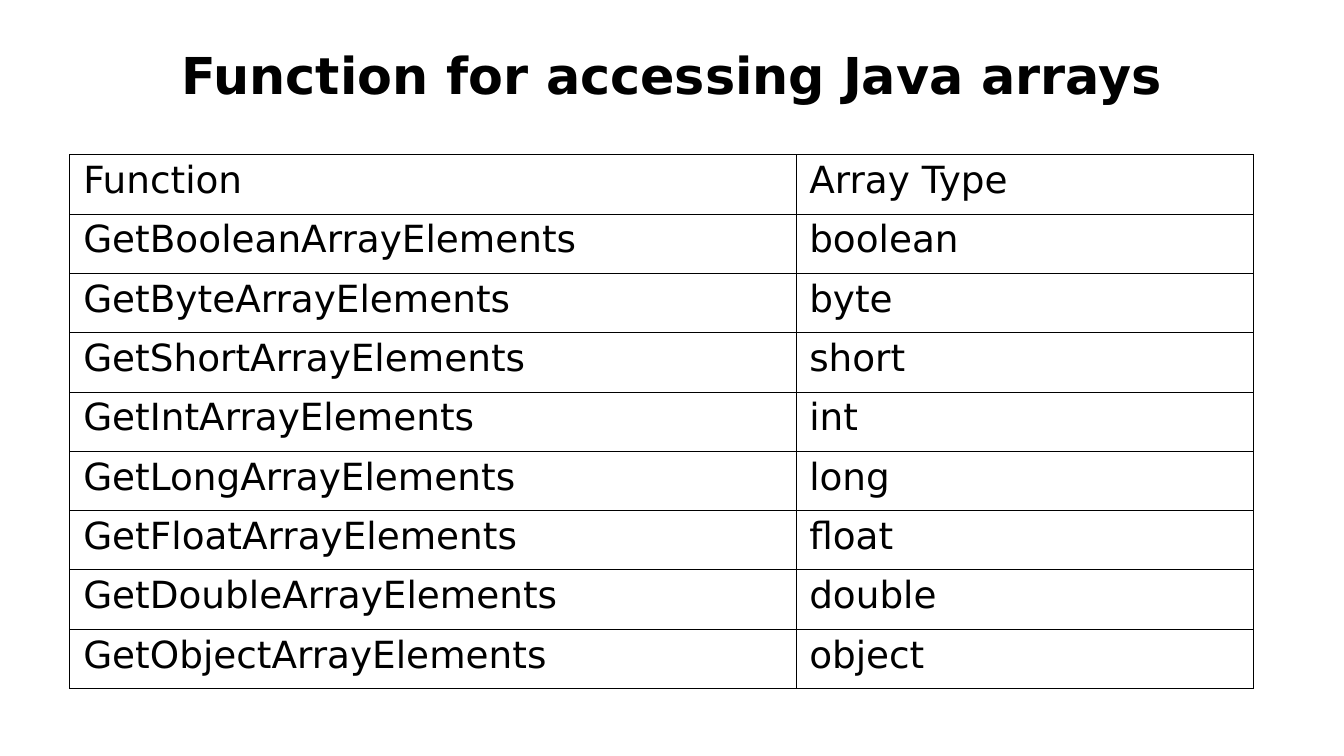
from typing import NamedTuple

from lxml import etree
from pptx import Presentation
from pptx.dml.color import RGBColor
from pptx.enum.text import MSO_ANCHOR, MSO_AUTO_SIZE, PP_ALIGN
from pptx.oxml.ns import qn
from pptx.util import Cm, Pt

CENTER = PP_ALIGN.CENTER
MIDDLE = MSO_ANCHOR.MIDDLE
NO_AUTOFIT = MSO_AUTO_SIZE.NONE
TITLE_ONLY = 5

COLORS = {"background": "FFFFFF", "text": "000000", "border": "000000"}
FONT = "DejaVu Sans"
TITLE_FONT = {"name": FONT, "size": Pt(27.2), "bold": True}
CELL_FONT = {"name": FONT, "size": Pt(20), "bold": False}

COLUMN_WIDTHS = (Cm(13.72), Cm(8.64))
ROW_HEIGHT = Cm(1.12)
OUTER_LINE = Pt(0.5)
INNER_LINE = Pt(0.23)


class AccessFunction(NamedTuple):
    function: str
    array_type: str


HEADER = AccessFunction("Function", "Array Type")
TYPES = ("boolean", "byte", "short", "int", "long", "float", "double", "object")
ROWS = [HEADER] + [
    AccessFunction(f"Get{name.capitalize()}ArrayElements", name) for name in TYPES
]


def format_font(font, values: dict) -> None:
    for name, value in values.items():
        setattr(font, name, value)
    font.color.rgb = RGBColor.from_string(COLORS["text"])


def set_borders(cell, widths: dict) -> None:
    """Put the border lines first in the cell properties, as the schema asks."""
    properties = cell._tc.get_or_add_tcPr()
    for position, (side, width) in enumerate(widths.items()):
        line = etree.Element(qn(f"a:ln{side}"), w=str(int(width)))
        fill = etree.SubElement(line, qn("a:solidFill"))
        etree.SubElement(fill, qn("a:srgbClr"), val=COLORS["border"])
        properties.insert(position, line)


def add_title(slide, text: str) -> None:
    title = slide.shapes.title
    title.left, title.top, title.width, title.height = Cm(1.27), Cm(0.28), Cm(22.86), Cm(2.24)
    frame = title.text_frame
    frame_format = {
        "margin_left": 0, "margin_top": 0, "margin_right": 0, "margin_bottom": 0,
        "vertical_anchor": MIDDLE, "auto_size": NO_AUTOFIT, "word_wrap": True,
    }
    for name, value in frame_format.items():
        setattr(frame, name, value)
    para = frame.paragraphs[0]
    para.alignment = CENTER
    span = para.add_run()
    span.text = text
    format_font(span.font, TITLE_FONT)


def add_function_table(slide, rows: list[AccessFunction]) -> None:
    last_row, last_column = len(rows) - 1, len(COLUMN_WIDTHS) - 1
    table = slide.shapes.add_table(
        len(rows), len(COLUMN_WIDTHS), Cm(1.32), Cm(2.92),
        sum(COLUMN_WIDTHS), ROW_HEIGHT * len(rows),
    ).table
    table.first_row = table.horz_banding = False
    for column, width in zip(table.columns, COLUMN_WIDTHS):
        column.width = width
    for row_index, row in enumerate(rows):
        table.rows[row_index].height = ROW_HEIGHT
        for column_index, text in enumerate(row):
            cell = table.cell(row_index, column_index)
            cell.fill.background()
            outer_sides = {
                "L": column_index == 0, "R": column_index == last_column,
                "T": row_index == 0, "B": row_index == last_row,
            }
            set_borders(cell, {
                side: OUTER_LINE if outer else INNER_LINE
                for side, outer in outer_sides.items()
            })
            para = cell.text_frame.paragraphs[0]
            para.line_spacing = 0.93
            span = para.add_run()
            span.text = text
            format_font(span.font, CELL_FONT)


def main() -> None:
    deck = Presentation()
    deck.slide_width, deck.slide_height = Cm(25.4), Cm(14.28)
    slide = deck.slides.add_slide(deck.slide_layouts[TITLE_ONLY])
    slide.background.fill.solid()
    slide.background.fill.fore_color.rgb = RGBColor.from_string(COLORS["background"])
    add_title(slide, "Function for accessing Java arrays")
    add_function_table(slide, ROWS)
    deck.save("out.pptx")


if __name__ == "__main__":
    main()
